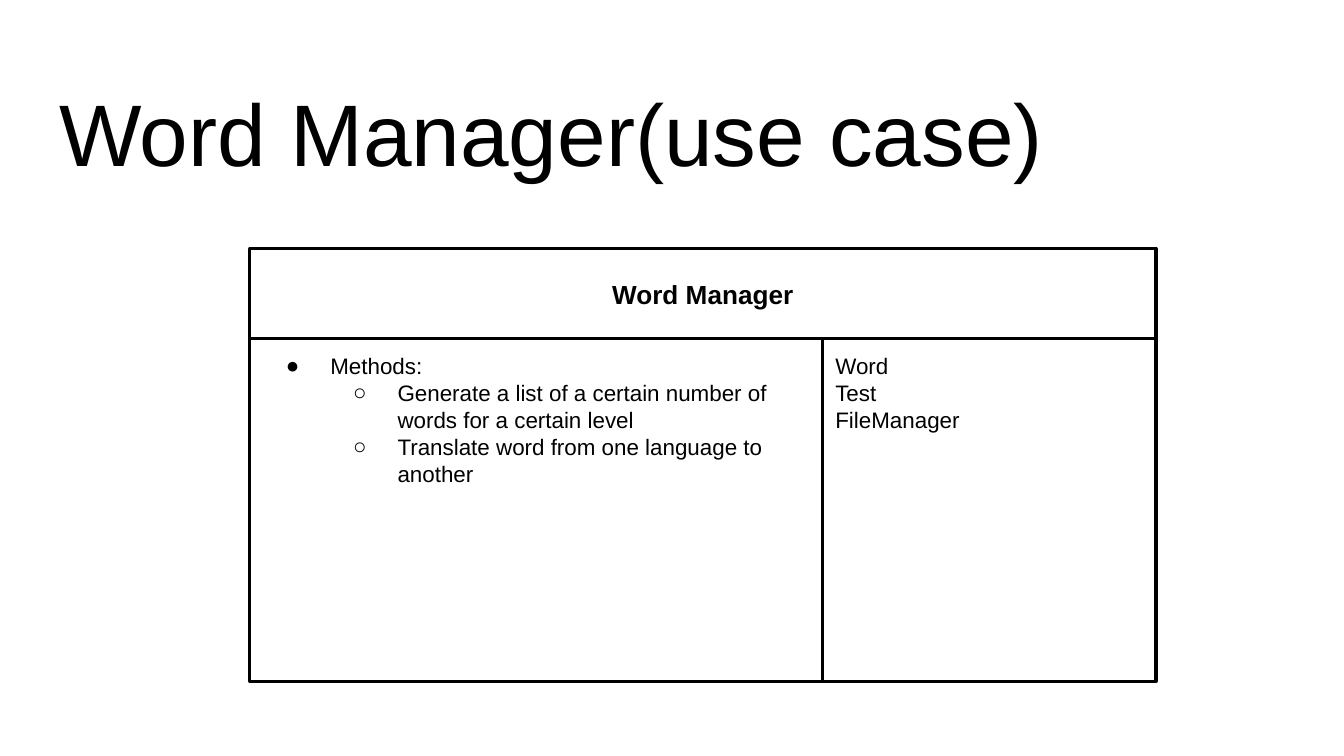
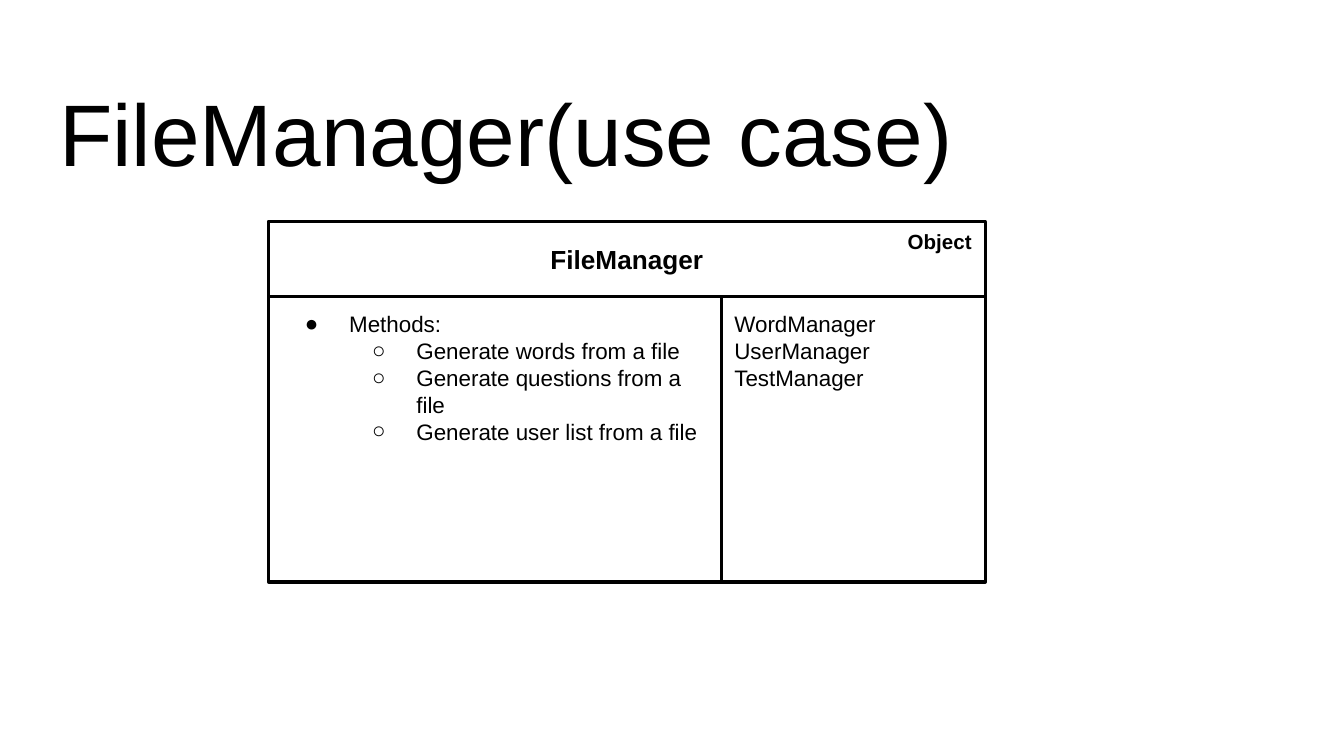
from lxml import etree
from pptx import Presentation
from pptx.dml.color import RGBColor
from pptx.enum.shapes import MSO_SHAPE
from pptx.enum.text import MSO_ANCHOR, MSO_AUTO_SIZE, PP_ALIGN
from pptx.oxml.ns import qn
from pptx.util import Inches, Pt

RECTANGLE = MSO_SHAPE.RECTANGLE
TOP, MIDDLE = MSO_ANCHOR.TOP, MSO_ANCHOR.MIDDLE
LEFT, CENTER, RIGHT = PP_ALIGN.LEFT, PP_ALIGN.CENTER, PP_ALIGN.RIGHT

# Content: one class card per slide; methods are (level, text)
CARDS = [
    {
        "title": "Word Manager(use case)",
        "name": "Word Manager",
        "tag": None,
        "bounds": (1.86, 1.85, 6.74, 3.22),
        "methods": [
            (0, "Methods:"),
            (1, "Generate a list of a certain number of words for a certain level"),
            (1, "Translate word from one language to another"),
        ],
        "collaborators": ["Word", "Test", "FileManager"],
    },
    {
        "title": "FileManager(use case)",
        "name": "FileManager",
        "tag": "Object",
        "bounds": (2, 1.65, 5.33, 2.68),
        "methods": [
            (0, "Methods:"),
            (1, "Generate words from a file"),
            (1, "Generate questions from a file"),
            (1, "Generate user list from a file"),
        ],
        "collaborators": ["WordManager", "UserManager", "TestManager"],
    },
]

# Shared style
COLORS = {"ink": "000000", "paper": "FFFFFF"}
FONT = "Arial"
SLIDE_SIZE = (10, 10 * 9 / 16)
TITLE_BOUNDS = (0.34, 0.49, 9.32, 0.63)
PADDING = 0.1
HEADER_SHARE = 5 / 24   # of the card's height
METHODS_SHARE = 12 / 19  # of the card's width
TAG_SHARE = 0.52        # of the header's height
BULLETS = "●○"
INDENT_STEP, HANGING = 0.5, 0.33


def color(name):
    """Return a palette colour."""
    return RGBColor.from_string(COLORS[name])


def add_bullet(para, level, size):
    """Give a paragraph the bullet and hanging indent of its level."""
    para.level = level
    properties = para._p.get_or_add_pPr()
    properties.set("marL", str(Inches(INDENT_STEP * (level + 1))))
    properties.set("indent", str(-Inches(HANGING)))
    bullet_color = etree.SubElement(properties, qn("a:buClr"))
    etree.SubElement(bullet_color, qn("a:srgbClr")).set("val", COLORS["ink"])
    etree.SubElement(properties, qn("a:buSzPts")).set("val", str(size * 100))
    etree.SubElement(properties, qn("a:buFont")).set("typeface", FONT)
    etree.SubElement(properties, qn("a:buChar")).set("char", BULLETS[level])


def write(box, lines, size, bold=False, align=LEFT, anchor=TOP):
    """Fill a box with (level, text) lines; level None has no bullet."""
    frame = box.text_frame
    frame.word_wrap = True
    frame.auto_size = MSO_AUTO_SIZE.NONE
    frame.vertical_anchor = anchor
    frame.margin_left = frame.margin_right = Inches(PADDING)
    frame.margin_top = frame.margin_bottom = Inches(PADDING)
    for index, (level, text) in enumerate(lines):
        para = frame.add_paragraph() if index else frame.paragraphs[0]
        para.text = text
        para.alignment = align
        if level is not None:
            add_bullet(para, level, size)
        para.font.name, para.font.size, para.font.bold = FONT, Pt(size), bold
        para.font.color.rgb = color("ink")


def add_panel(group, bounds, line_width):
    """Add a white outlined rectangle to a card."""
    panel = group.shapes.add_shape(RECTANGLE, *map(Inches, bounds))
    panel.shadow.inherit = False
    panel.fill.solid()
    panel.fill.fore_color.rgb = color("paper")
    panel.line.color.rgb = color("ink")
    panel.line.width = Pt(line_width)
    etree.SubElement(panel.line._get_or_add_ln(), qn("a:round"))
    return panel


def add_card(page, card):
    """Draw a class card: header, methods, collaborators, optional tag."""
    left, top, width, height = card["bounds"]
    header = height * HEADER_SHARE
    split = width * METHODS_SHARE
    body_top, body_height = top + header, height - header
    group = page.shapes.add_group_shape()

    add_panel(group, card["bounds"], 2.25)
    name = add_panel(group, (left, top, width, header), 1.5)
    write(name, [(None, card["name"])], 14, True, CENTER, MIDDLE)
    if card["tag"]:
        tag_bounds = (left + split, top, width - split, header * TAG_SHARE)
        tag = group.shapes.add_textbox(*map(Inches, tag_bounds))
        write(tag, [(None, card["tag"])], 11, True, RIGHT, MIDDLE)
    methods = add_panel(group, (left, body_top, split, body_height), 1.5)
    write(methods, card["methods"], 12)
    collaborators = add_panel(
        group, (left + split, body_top, width - split, body_height), 1.5)
    write(collaborators, [(None, text) for text in card["collaborators"]], 12)


def add_title(page, text):
    """Place and format the slide's title."""
    title = page.shapes.title
    title.left, title.top, title.width, title.height = map(Inches, TITLE_BOUNDS)
    write(title, [(None, text)], 46.8)


deck = Presentation()
deck.slide_width, deck.slide_height = map(Inches, SLIDE_SIZE)
title_only = deck.slide_layouts[5]
for card in CARDS:
    page = deck.slides.add_slide(title_only)
    add_title(page, card["title"])
    add_card(page, card)
deck.save("out.pptx")
